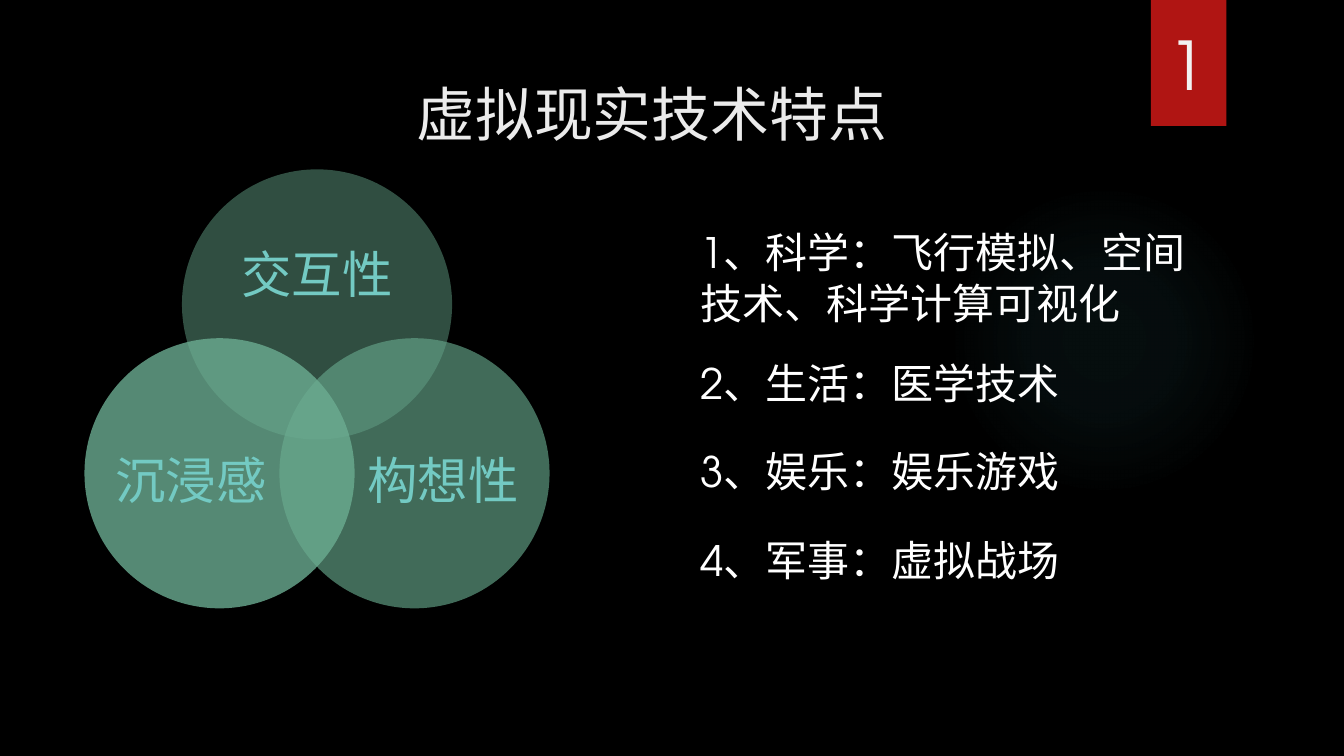
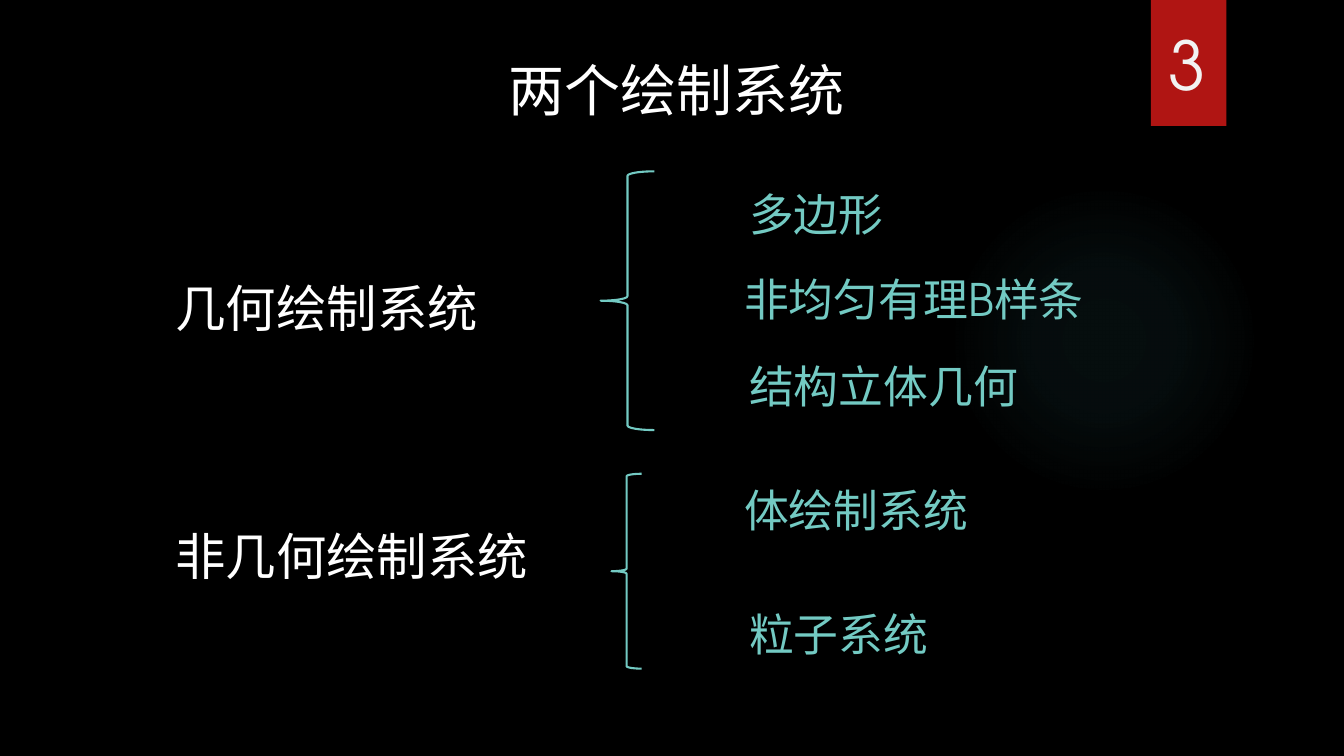
import dataclasses
import math

import lxml.etree
import pptx
import pptx.dml.color
import pptx.enum.shapes
import pptx.enum.text
import pptx.oxml
import pptx.oxml.ns
import pptx.presentation
import pptx.shapes.autoshape
import pptx.slide
import pptx.util

COLORS = {
    "background": "000000",
    "glow": "50B9C1",
    "badge": "B01513",
    "number": "F2F2F2",
    "title": "EBEBEB",
    "body": "FFFFFF",
    "accent": "73CAC3",
    "interaction": "609C83",
    "imagination": "65A58A",
    "immersion": "6BAC91",
}
FONT = "TeX Gyre Adventor"
COLUMNS, ROWS = 160, 90  # the slide's grid of square cells
SLIDE_WIDTH = pptx.util.Inches(40 / 3)
SLIDE_HEIGHT = pptx.util.Inches(7.5)

SHAPES = pptx.enum.shapes.MSO_SHAPE
ANCHORS = pptx.enum.text.MSO_ANCHOR
ALIGNMENTS = pptx.enum.text.PP_ALIGN


@dataclasses.dataclass(frozen=True)
class Box:
    """A place on the grid, in columns and rows."""

    left: float
    top: float
    width: float
    height: float

    def lengths(self) -> tuple[int, int, int, int]:
        column, row = SLIDE_WIDTH / COLUMNS, SLIDE_HEIGHT / ROWS
        return (round(self.left * column), round(self.top * row),
                round(self.width * column), round(self.height * row))


@dataclasses.dataclass(frozen=True)
class TextStyle:
    size: int
    color: str
    anchor: ANCHORS = ANCHORS.TOP
    alignment: ALIGNMENTS = ALIGNMENTS.LEFT
    inset: bool = True
    line_spacing: float = 1.0
    space_before: int = 0


@dataclasses.dataclass(frozen=True)
class VennCircle:
    label: str
    color: str
    opacity: int
    label_shift: tuple[float, float]
    label_size: tuple[float, float]


@dataclasses.dataclass(frozen=True)
class SystemGroup:
    heading: str
    heading_box: Box
    brace_box: Box
    items: tuple[tuple[str, float, float], ...]  # text, left, top


NUMBER_STYLE = TextStyle(48, "number", space_before=10)
TITLE_STYLE = TextStyle(42, "title", anchor=ANCHORS.BOTTOM)
SYSTEM_TITLE_STYLE = TextStyle(40, "body")
POINT_STYLE = TextStyle(30, "body")
HEADING_STYLE = TextStyle(36, "body")
ITEM_STYLE = TextStyle(32, "accent")
VENN_STYLE = TextStyle(36, "accent", ANCHORS.MIDDLE, ALIGNMENTS.CENTER,
                       inset=False, line_spacing=0.9)

VENN_CENTER = (37.74, 49.64)
VENN_SPREAD = 13.4
VENN_DIAMETER = 32.16
VENN_CIRCLES = (
    VennCircle("交互性", "interaction", 50, (0, -16.6), (23.6, 14.5)),
    VennCircle("构想性", "imagination", 65, (15, 7.9), (19.3, 17.8)),
    VennCircle("沉浸感", "immersion", 80, (-15, 7.9), (19.3, 17.8)),
)

FIRST_POINT = "1、科学：飞行模拟、空间技术、科学计算可视化"
OTHER_POINTS = ("2、生活：医学技术", "3、娱乐：娱乐游戏", "4、军事：虚拟战场")
POINT_LEFT, POINT_TOP, POINT_PITCH = 82.2, 42, 10.5

SYSTEM_GROUPS = (
    SystemGroup("几何绘制系统", Box(19.7, 32.4, 41.9, 8.5), Box(71.5, 20.4, 6.4, 30.8),
                (("多边形", 88, 21.7), ("非均匀有理B样条", 87.4, 31.8),
                 ("结构立体几何", 88, 42.1))),
    SystemGroup("非几何绘制系统", Box(19.7, 61.9, 44.9, 8.5), Box(72.8, 56.4, 3.6, 23.2),
                (("体绘制系统", 87.4, 56.9), ("粒子系统", 88, 71.6))),
)


def rgb(name: str) -> pptx.dml.color.RGBColor:
    return pptx.dml.color.RGBColor.from_string(COLORS[name])


def add_shape(slide: pptx.slide.Slide, kind: SHAPES, box: Box,
              color: str | None = None) -> pptx.shapes.autoshape.Shape:
    """Add a flat shape without outline, and without fill if color is None."""
    shape = slide.shapes.add_shape(kind, *box.lengths())
    shape.shadow.inherit = False
    shape.line.fill.background()
    if color is None:
        shape.fill.background()
    else:
        shape.fill.solid()
        shape.fill.fore_color.rgb = rgb(color)
    return shape


def add_text(slide: pptx.slide.Slide, text: str, box: Box, style: TextStyle) -> None:
    frame = slide.shapes.add_textbox(*box.lengths()).text_frame
    frame.word_wrap = True
    frame.vertical_anchor = style.anchor
    if not style.inset:
        frame.margin_left = frame.margin_right = 0
        frame.margin_top = frame.margin_bottom = 0
    paragraph = frame.paragraphs[0]
    paragraph.text = text
    paragraph.alignment = style.alignment
    paragraph.line_spacing = style.line_spacing
    paragraph.space_before = pptx.util.Pt(style.space_before)
    paragraph.font.name = FONT
    paragraph.font.size = pptx.util.Pt(style.size)
    paragraph.font.color.rgb = rgb(style.color)


def set_opacity(shape: pptx.shapes.autoshape.Shape, percent: int) -> None:
    color = shape.element.spPr.find(
        f"{pptx.oxml.ns.qn('a:solidFill')}/{pptx.oxml.ns.qn('a:srgbClr')}")
    lxml.etree.SubElement(color, pptx.oxml.ns.qn("a:alpha"), val=str(percent * 1000))


def add_glow(slide: pptx.slide.Slide) -> None:
    """Add a faint round light that fades out from its centre."""
    shape = add_shape(slide, SHAPES.OVAL, Box(112.9, 22, 37, 37))
    stops = "".join(
        f'<a:gs pos="{position * 1000}"><a:srgbClr val="{COLORS["glow"]}">'
        f'<a:alpha val="{opacity * 1000}"/></a:srgbClr></a:gs>'
        for position, opacity in ((0, 7), (36, 6), (69, 0), (100, 0)))
    gradient = pptx.oxml.parse_xml(
        f'<a:gradFill {pptx.oxml.ns.nsdecls("a")} rotWithShape="1">'
        f'<a:gsLst>{stops}</a:gsLst><a:path path="circle">'
        '<a:fillToRect l="50000" t="50000" r="50000" b="50000"/></a:path></a:gradFill>')
    properties = shape.element.spPr
    properties.replace(properties.find(pptx.oxml.ns.qn("a:noFill")), gradient)


def add_base_slide(presentation: pptx.presentation.Presentation,
                   number: str) -> pptx.slide.Slide:
    """Add a blank slide with the shared background, glow and number badge."""
    slide = presentation.slides.add_slide(presentation.slide_layouts[6])
    slide.background.fill.solid()
    slide.background.fill.fore_color.rgb = rgb("background")
    add_glow(slide)
    add_shape(slide, SHAPES.RECTANGLE, Box(137, 0, 9, 15), "badge")
    add_text(slide, number, Box(137.9, 2.2, 7.8, 11.2), NUMBER_STYLE)
    return slide


def add_venn(slide: pptx.slide.Slide) -> None:
    center_x, center_y = VENN_CENTER
    for index, circle in enumerate(VENN_CIRCLES):
        angle = math.radians(-90 + index * 360 / len(VENN_CIRCLES))
        left = center_x + VENN_SPREAD * math.cos(angle) - VENN_DIAMETER / 2
        top = center_y + VENN_SPREAD * math.sin(angle) - VENN_DIAMETER / 2
        disc = add_shape(slide, SHAPES.OVAL,
                         Box(left, top, VENN_DIAMETER, VENN_DIAMETER), circle.color)
        set_opacity(disc, circle.opacity)
        shift_x, shift_y = circle.label_shift
        width, height = circle.label_size
        label_box = Box(center_x + shift_x - width / 2,
                        center_y + shift_y - height / 2, width, height)
        add_text(slide, circle.label, label_box, VENN_STYLE)


def add_features_slide(presentation: pptx.presentation.Presentation) -> None:
    slide = add_base_slide(presentation, "1")
    add_text(slide, "虚拟现实技术特点", Box(48.4, 7.7, 70.3, 10.5), TITLE_STYLE)
    add_venn(slide)
    add_text(slide, FIRST_POINT, Box(POINT_LEFT, 26.4, 63.6, 13.3), POINT_STYLE)
    for index, point in enumerate(OTHER_POINTS):
        add_text(slide, point,
                 Box(POINT_LEFT, POINT_TOP + index * POINT_PITCH, 58.2, 7.3), POINT_STYLE)


def add_systems_slide(presentation: pptx.presentation.Presentation) -> None:
    slide = add_base_slide(presentation, "3")
    add_text(slide, "两个绘制系统", Box(59.4, 6, 74.2, 9.2), SYSTEM_TITLE_STYLE)
    for group in SYSTEM_GROUPS:
        add_text(slide, group.heading, group.heading_box, HEADING_STYLE)
        brace = add_shape(slide, SHAPES.LEFT_BRACE, group.brace_box)
        brace.line.color.rgb = rgb("accent")
        brace.line.width = pptx.util.Pt(1.5)
        for text, left, top in group.items:
            add_text(slide, text, Box(left, top, 55, 7.7), ITEM_STYLE)


def main() -> None:
    presentation = pptx.Presentation()
    presentation.slide_width = SLIDE_WIDTH
    presentation.slide_height = SLIDE_HEIGHT
    add_features_slide(presentation)
    add_systems_slide(presentation)
    presentation.save("out.pptx")


if __name__ == "__main__":
    main()
